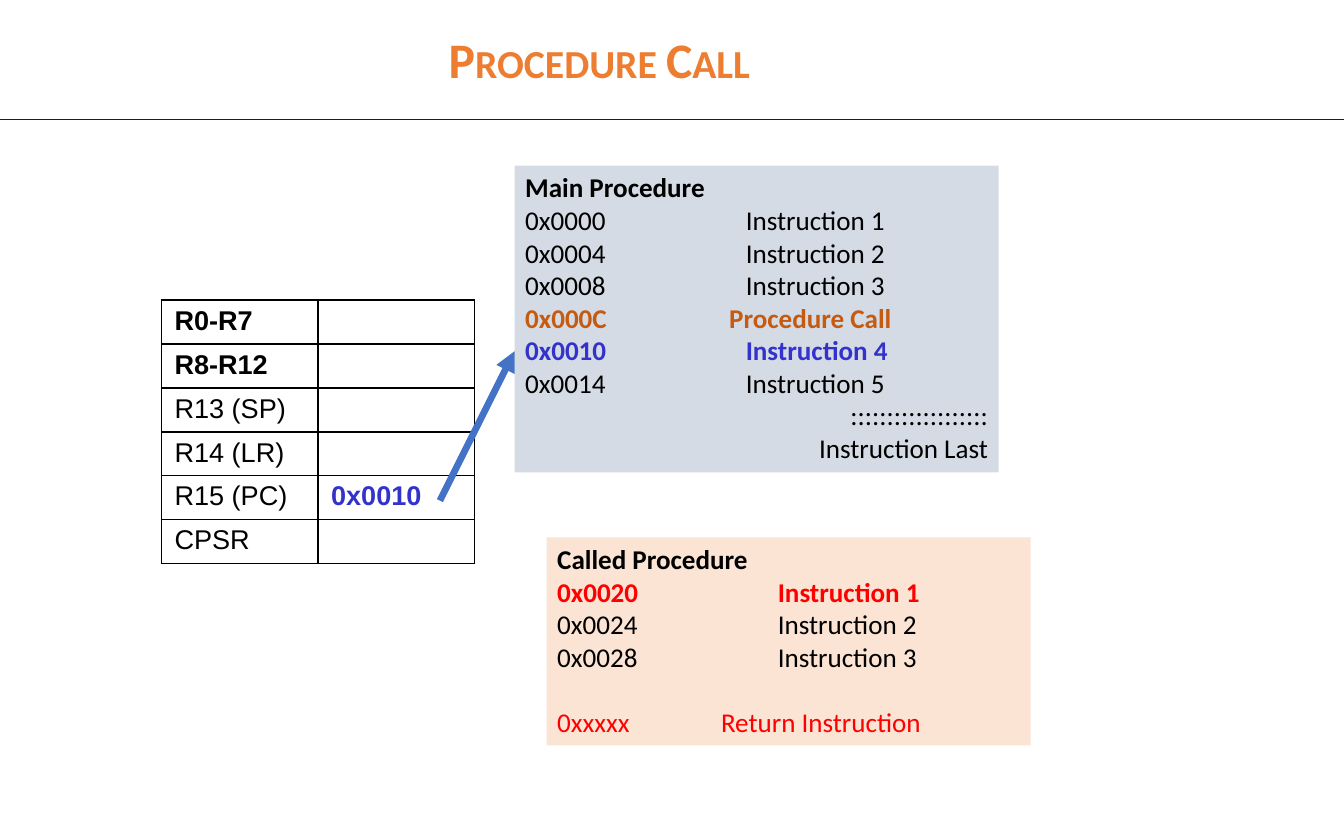
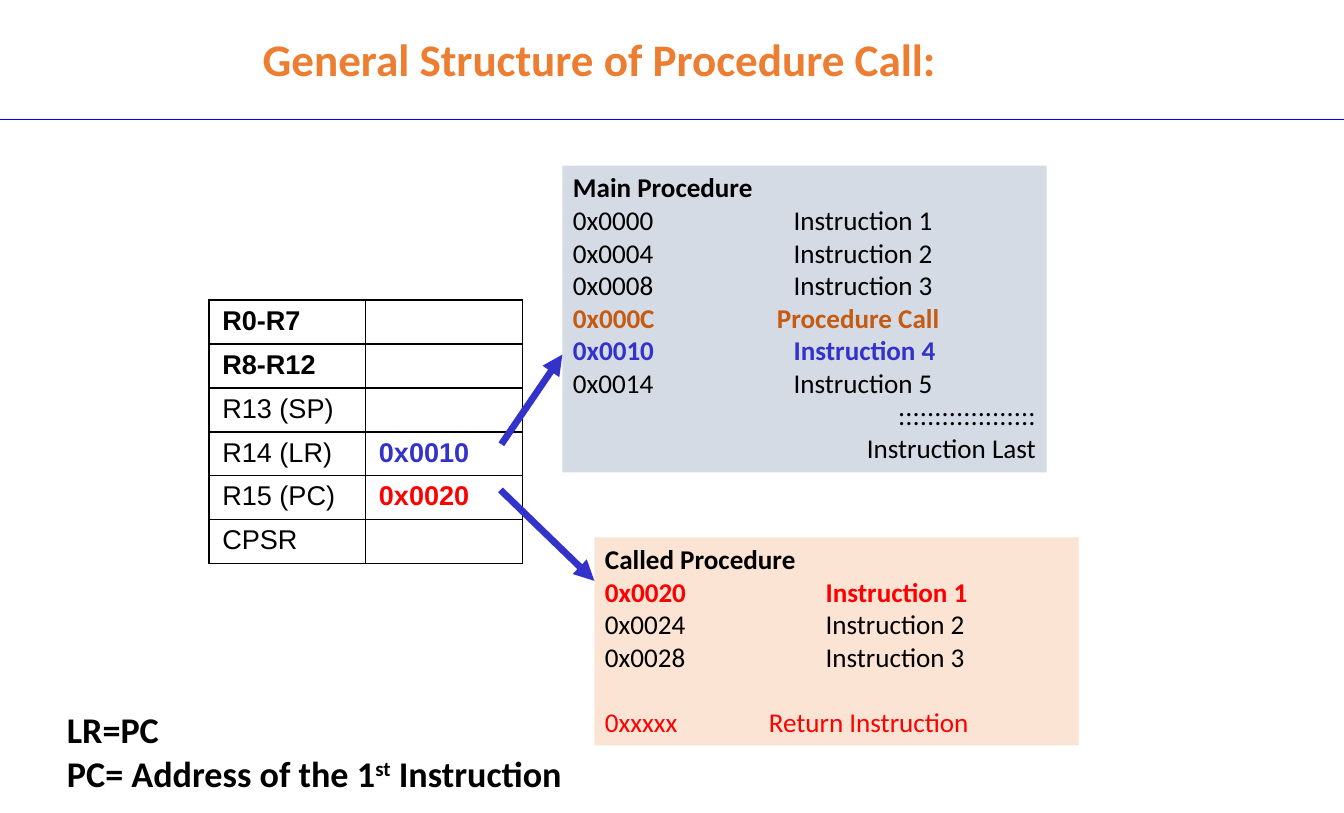
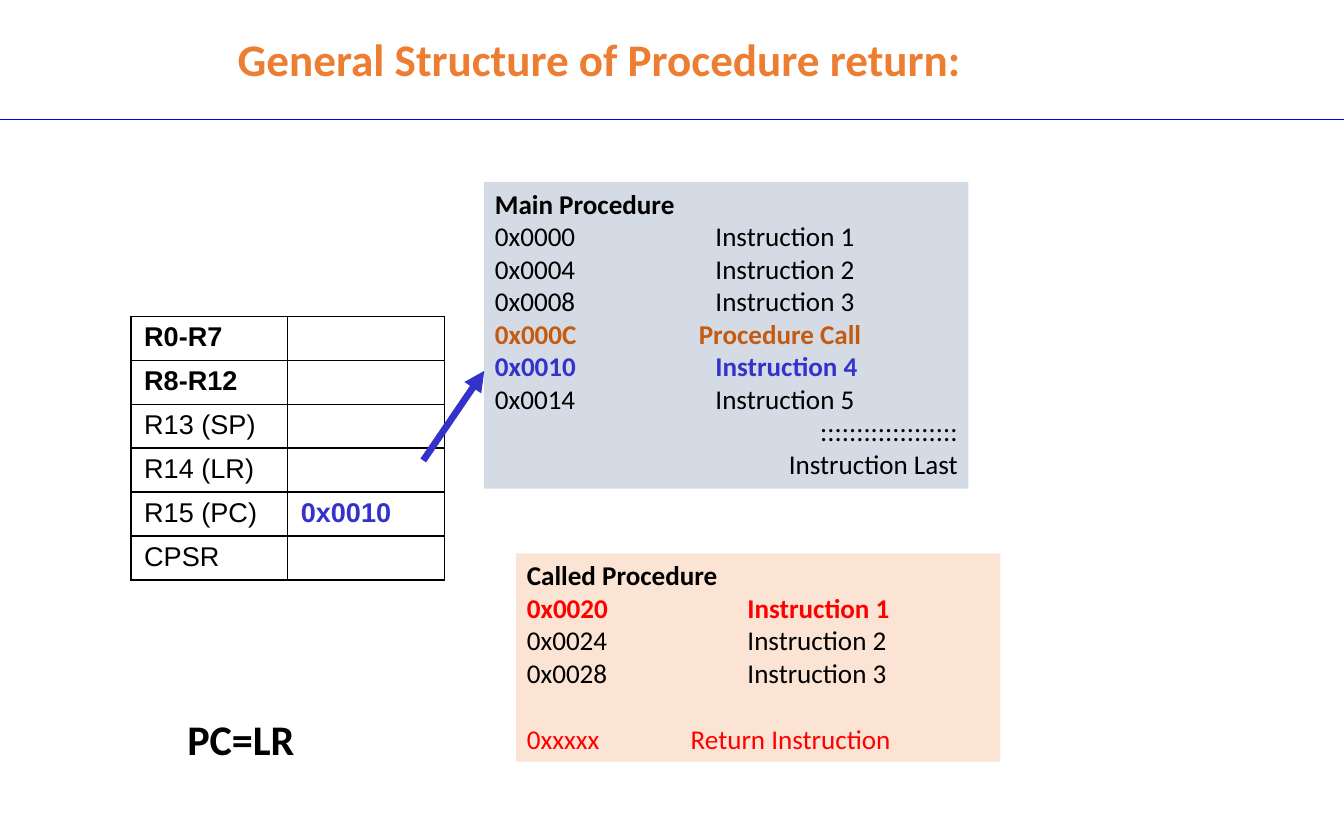
from dataclasses import dataclass

from lxml.etree import SubElement
from pptx import Presentation
from pptx.dml.color import RGBColor as RGB
from pptx.enum.shapes import MSO_CONNECTOR as CONN, MSO_SHAPE as SHAPE
from pptx.enum.text import MSO_ANCHOR as ANCHOR, MSO_AUTO_SIZE as AUTO, PP_ALIGN as ALIGN
from pptx.oxml.ns import qn
from pptx.util import Cm, Pt


@dataclass(frozen=True)
class Theme:
    text: str = "000000"
    title: str = "ED7D31"
    rule: str = "0000FF"
    paper: str = "FFFFFF"
    main_fill: str = "D5DBE5"
    called_fill: str = "FBE4D4"
    call: str = "C55A11"
    resume: str = "3333CC"
    entry: str = "FF0000"
    arrow: str = "4472C4"
    font: str = "Calibri"
    table_font: str = "Arial"
    title_big: int = 33
    title_size: int = 30
    body: int = 18
    note: int = 24
    note_big: int = 28


T = Theme()
WIDTH, HEIGHT = 31.5, 19.05
REGISTERS = ["R0-R7", "R8-R12", "R13 (SP)", "R14 (LR)", "R15 (PC)", "CPSR"]
BOLD_REGISTERS = REGISTERS[:2]

# Each line: text, run format, paragraph format
INSTRUCTION_TAB = dict(tab=5.17)
MAIN_LINES = [
    ("Main Procedure", dict(bold=True), {}),
    ("0x0000\tInstruction 1", {}, INSTRUCTION_TAB),
    ("0x0004\tInstruction 2", {}, INSTRUCTION_TAB),
    ("0x0008\tInstruction 3", {}, INSTRUCTION_TAB),
    ("0x000C\tProcedure Call", dict(bold=True, color=T.call), dict(tab=4.78)),
    ("0x0010\tInstruction 4", dict(bold=True, color=T.resume), INSTRUCTION_TAB),
    ("0x0014\tInstruction 5", {}, INSTRUCTION_TAB),
    (":::::::::::::::::::", {}, dict(alignment=ALIGN.RIGHT)),
    ("Instruction Last", {}, dict(alignment=ALIGN.RIGHT)),
]
CALLED_LINES = [
    ("Called Procedure", dict(bold=True), {}),
    ("0x0020\tInstruction 1", dict(bold=True, color=T.entry), INSTRUCTION_TAB),
    ("0x0024\tInstruction 2", {}, INSTRUCTION_TAB),
    ("0x0028\tInstruction 3", {}, INSTRUCTION_TAB),
    ("0xxxxx\tReturn Instruction", dict(color=T.entry), dict(tab=3.84, space_before=Pt(22))),
]


def set_all(target, values):
    for name, value in values.items():
        setattr(target, name, value)


class Deck:
    def __init__(self):
        self.prs = Presentation()
        set_all(self.prs, dict(slide_width=Cm(WIDTH), slide_height=Cm(HEIGHT)))
        self.slide = None

    def new_slide(self, title, size=T.title_size, caps=None):
        self.slide = self.prs.slides.add_slide(self.prs.slide_layouts[6])
        self.line((0, 2.79), (WIDTH, 2.79), T.rule, 0.75)
        tf = self.text_box(-1.42, 0.53, 28.83, 1.7)
        set_all(tf, dict(vertical_anchor=ANCHOR.MIDDLE, margin_left=Cm(2.36)))
        p = tf.paragraphs[0]
        p.alignment = ALIGN.CENTER
        self.run(p, title, size=size, bold=True, color=T.title, cap=caps)

    def run(self, p, text, size=T.body, bold=False, color=T.text, font=T.font, **extra):
        """Add a run; extra holds raw run attributes such as cap or baseline."""
        r = p.add_run()
        r.text = text
        set_all(r.font, dict(name=font, size=Pt(size), bold=bold))
        r.font.color.rgb = RGB.from_string(color)
        for name, value in extra.items():
            if value:
                r.font._element.set(name, value)

    def text_box(self, x, y, w, h):
        tf = self.slide.shapes.add_textbox(Cm(x), Cm(y), Cm(w), Cm(h)).text_frame
        tf.word_wrap = True
        return tf

    def note(self, x, y, w, h, lines, size):
        """Add bold lines, each a list of (text, raw run attributes)."""
        tf = self.text_box(x, y, w, h)
        tf.auto_size = AUTO.SHAPE_TO_FIT_TEXT
        for i, runs in enumerate(lines):
            p = tf.add_paragraph() if i else tf.paragraphs[0]
            for text, extra in runs:
                self.run(p, text, size=size, bold=True, **extra)

    def listing(self, x, y, h, fill, lines):
        sp = self.slide.shapes.add_shape(SHAPE.RECTANGLE, Cm(x), Cm(y), Cm(11.35), Cm(h))
        sp.shadow.inherit = False
        sp.fill.solid()
        sp.fill.fore_color.rgb = RGB.from_string(fill)
        sp.line.fill.background()
        tf = sp.text_frame
        set_all(tf, dict(word_wrap=True, auto_size=AUTO.SHAPE_TO_FIT_TEXT,
                         vertical_anchor=ANCHOR.TOP))
        for i, (text, run_format, layout) in enumerate(lines):
            p = tf.add_paragraph() if i else tf.paragraphs[0]
            layout = {"alignment": ALIGN.LEFT, **layout}
            tab = layout.pop("tab", None)
            set_all(p, layout)
            if tab:
                tabs = SubElement(p._p.get_or_add_pPr(), qn("a:tabLst"))
                SubElement(tabs, qn("a:tab"), pos=str(Cm(tab)), algn="l")
            self.run(p, text, **run_format)

    def line(self, start, end, color, width, arrow=False):
        cx = self.slide.shapes.add_connector(
            CONN.STRAIGHT, *(Cm(v) for v in (*start, *end)))
        cx.line.width = Pt(width)
        cx.line.color.rgb = RGB.from_string(color)
        if arrow:
            SubElement(cx.line._get_or_add_ln(), qn("a:tailEnd"), type="triangle")
        SubElement(cx._element.spPr, qn("a:effectLst"))

    def cell(self, cell, text, **run_format):
        set_all(cell, dict(margin_left=Cm(0.31), margin_right=Cm(0.31),
                           margin_top=Cm(0.13), margin_bottom=Cm(0.13)))
        tcPr = cell._tc.get_or_add_tcPr()
        for side in ("lnL", "lnR", "lnT", "lnB"):
            ln = SubElement(tcPr, qn(f"a:{side}"), w=str(Pt(1)))
            SubElement(SubElement(ln, qn("a:solidFill")), qn("a:srgbClr"), val=T.text)
        cell.fill.solid()
        cell.fill.fore_color.rgb = RGB.from_string(T.paper)
        if text:
            self.run(cell.text_frame.paragraphs[0], text, font=T.table_font, **run_format)

    def registers(self, x, y, values):
        """Add the register table; values maps a register to (text, colour)."""
        table = self.slide.shapes.add_table(
            len(REGISTERS), 2, Cm(x), Cm(y), Cm(7.34), Cm(6.18)).table
        set_all(table, dict(first_row=False, horz_banding=False))
        for col in table.columns:
            col.width = Cm(3.67)
        for i, name in enumerate(REGISTERS):
            table.rows[i].height = Cm(1.03)
            text, color = values.get(name, ("", T.text))
            self.cell(table.cell(i, 0), name, bold=name in BOLD_REGISTERS)
            self.cell(table.cell(i, 1), text, bold=True, color=color)

    def diagram(self, x, y, values, arrows):
        """Add registers, listings and arrows, placed from the main listing's corner."""
        self.registers(x - 8.28, y + 3.15, values)
        self.listing(x, y, 7.19, T.main_fill, MAIN_LINES)
        self.listing(x + 0.75, y + 8.71, 4.88, T.called_fill, CALLED_LINES)
        for (x1, y1), (x2, y2), color in arrows:
            self.line((x + x1, y + y1), (x + x2, y + y2), color, 4.5, arrow=True)


def main():
    deck = Deck()
    resume, entry = ("0x0010", T.resume), ("0x0020", T.entry)
    link_arrow = ((-1.43, 6.53), (0, 4.43), T.resume)

    deck.new_slide("Procedure Call", T.title_big, caps="small")
    deck.diagram(12.06, 3.88, {"R15 (PC)": resume}, [((-1.75, 7.85), (0, 4.35), T.arrow)])

    deck.new_slide("General Structure of Procedure Call:")
    deck.diagram(13.18, 3.88, {"R14 (LR)": resume, "R15 (PC)": entry},
                 [((-1.45, 7.6), (0.75, 9.73), T.resume), link_arrow])
    deck.note(1.32, 16.46, 17.45, 2.31, [
        [("LR=PC", {})],
        [("PC= Address of the 1", {}), ("st", dict(baseline="30000")), (" Instruction", {})],
    ], T.note)

    deck.new_slide("General Structure of Procedure return:")
    deck.diagram(11.35, 4.26, {"R15 (PC)": resume}, [link_arrow])
    deck.note(4.14, 16.59, 3.78, 1.45, [[("PC=LR", {})]], T.note_big)

    deck.prs.save("out.pptx")


if __name__ == "__main__":
    main()
